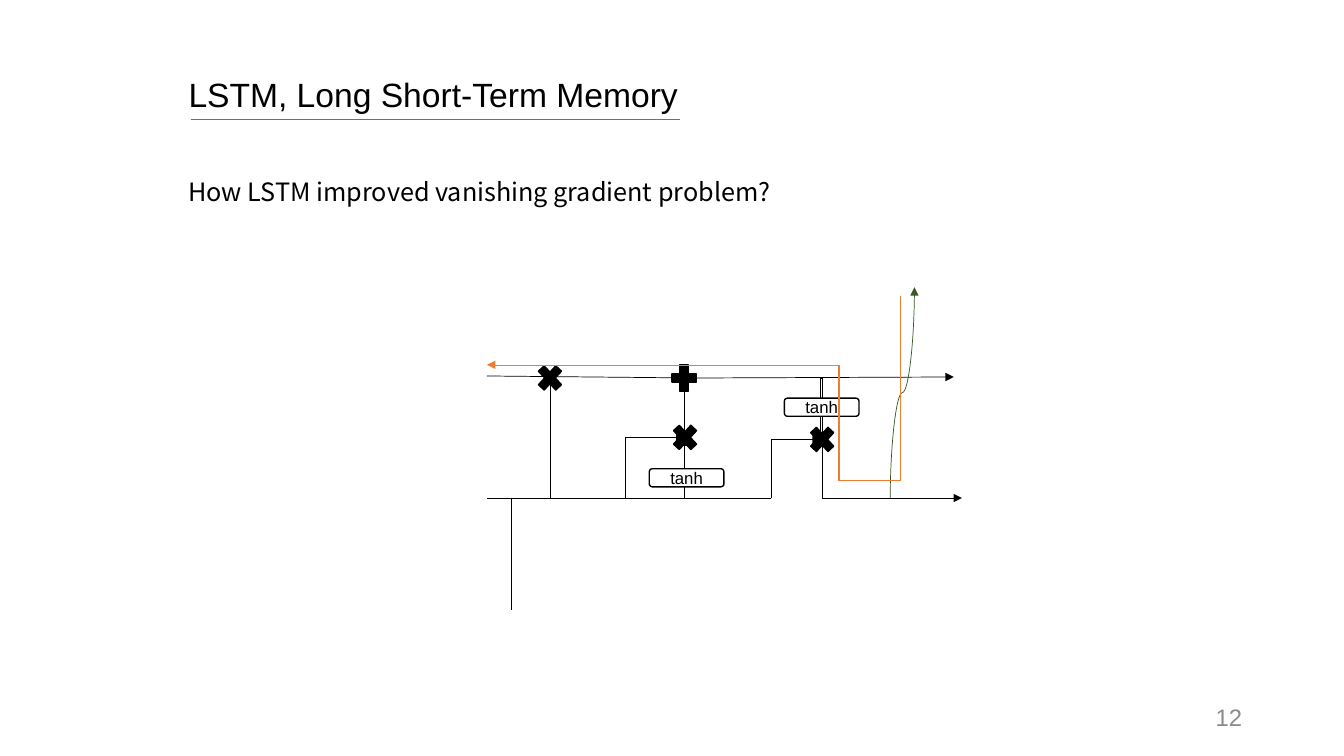
import pptx
import pptx.dml.color
import pptx.enum.shapes
import pptx.enum.text
import pptx.oxml
import pptx.oxml.ns
import pptx.util
from pptx.util import Inches

COLORS = {
    "black": "000000",
    "white": "FFFFFF",
    "gray": "8C8C8C",
    "blue": "4472C4",
    "green": "385723",
    "orange": "ED7D31",
}
SHAPE = pptx.enum.shapes.MSO_SHAPE
CONNECTOR = pptx.enum.shapes.MSO_CONNECTOR
ALIGN = pptx.enum.text.PP_ALIGN
ANCHOR = pptx.enum.text.MSO_ANCHOR


def color(name):
    return pptx.dml.color.RGBColor.from_string(COLORS[name])


def write(shape, text, size=18, font="Arial", fill="black", align=ALIGN.LEFT,
          anchor=ANCHOR.TOP, grow=False):
    frame = shape.text_frame
    frame.word_wrap = True
    frame.vertical_anchor = anchor
    fit = pptx.enum.text.MSO_AUTO_SIZE
    frame.auto_size = fit.SHAPE_TO_FIT_TEXT if grow else fit.NONE
    paragraph = frame.paragraphs[0]
    paragraph.alignment = align
    run = paragraph.add_run()
    run.text = text
    run.font.size = pptx.util.Pt(size)
    run.font.name = font
    run.font.color.rgb = color(fill)


def add_xml(parent, tag, **attributes):
    element = pptx.oxml.parse_xml(f"<{tag} {pptx.oxml.ns.nsdecls('a')}/>")
    for name, value in attributes.items():
        element.set(name, value)
    parent.append(element)


class Diagram:
    def __init__(self, slide, line_width=0.5):
        self.slide = slide
        self.line_width = line_width

    def title(self, text, box):
        shape = self.slide.shapes.title
        shape.left, shape.top, shape.width, shape.height = map(Inches, box)
        write(shape, text, size=24, grow=True)

    def text(self, text, box, **style):
        shape = self.slide.shapes.add_textbox(*map(Inches, box))
        write(shape, text, **style)

    def line(self, start, end, stroke="black", width=None, arrow=False,
             kind=CONNECTOR.STRAIGHT, bend=None, turned=False):
        if turned:
            middle_x, middle_y = (start[0] + end[0]) / 2, (start[1] + end[1]) / 2
            half_x, half_y = (end[0] - start[0]) / 2, (end[1] - start[1]) / 2
            start = middle_x - half_y, middle_y + half_x
            end = middle_x + half_y, middle_y - half_x
        connector = self.slide.shapes.add_connector(kind, *map(Inches, (*start, *end)))
        connector.line.color.rgb = color(stroke)
        connector.line.width = pptx.util.Pt(width or self.line_width)
        properties = connector._element.spPr
        if turned:
            properties.find(pptx.oxml.ns.qn("a:xfrm")).set("rot", "5400000")
        if bend is not None:
            guides = properties.find(".//" + pptx.oxml.ns.qn("a:avLst"))
            add_xml(guides, "a:gd", name="adj1", fmla=f"val {round(bend * 100000)}")
        if arrow:
            add_xml(connector.line._get_or_add_ln(), "a:tailEnd", type="triangle")
        add_xml(properties, "a:effectLst")

    def shape(self, kind, box, fill="black"):
        shape = self.slide.shapes.add_shape(kind, *map(Inches, box))
        shape.shadow.inherit = False
        shape.fill.solid()
        shape.fill.fore_color.rgb = color(fill)
        shape.line.color.rgb = color("black")
        shape.line.width = pptx.util.Pt(1)
        return shape

    def operator(self, kind, left, top):
        self.shape(kind, (left, top, 0.33, 0.36))

    def tanh(self, left, top):
        shape = self.shape(SHAPE.ROUNDED_RECTANGLE, (left, top, 0.74, 0.18), "white")
        write(shape, "tanh", size=12, align=ALIGN.CENTER, anchor=ANCHOR.MIDDLE)


def main():
    presentation = pptx.Presentation()
    presentation.slide_width = Inches(13.33)
    presentation.slide_height = Inches(7.5)
    slide = presentation.slides.add_slide(presentation.slide_layouts[5])
    diagram = Diagram(slide)

    diagram.title("LSTM, Long Short-Term Memory", (1.77, 0.68, 7.05, 0.5))
    diagram.line((1.89, 1.18), (6.74, 1.18), "blue")
    diagram.text("12", (9.42, 6.81, 3, 0.6), size=17, fill="gray",
                 align=ALIGN.RIGHT, anchor=ANCHOR.MIDDLE)
    diagram.text("How LSTM improved vanishing gradient problem?",
                 (1.77, 1.7, 9.98, 0.4), font="Noto Sans CJK KR", grow=True)

    left, forget, add, output = 4.83, 5.46, 6.79, 8.14
    cell, hidden, gate = 3.75, 4.94, 4.34
    diagram.line((6.91, cell), (9.46, 3.74), arrow=True)
    diagram.line((7.65, hidden), (add, hidden))
    diagram.line((forget, hidden), (forget, 3.73), arrow=True)
    diagram.line((add, hidden), (add, gate), arrow=True)
    elbow = {"kind": CONNECTOR.ELBOW, "arrow": True}
    diagram.line((output, cell), (9.54, hidden), bend=0.01, **elbow)
    diagram.line((6.19, hidden), (add, gate), bend=0.02, **elbow)
    diagram.line((7.65, hidden), (output, 4.36), bend=1, turned=True, **elbow)
    diagram.line((output, cell), (output, 4.38), arrow=True)
    diagram.tanh(6.44, 4.65)
    diagram.tanh(7.78, 3.95)
    diagram.line((left, hidden), (add, hidden))
    diagram.line((5.07, hidden), (5.07, 6.05))
    diagram.line((6.91, cell), (left, 3.73))
    diagram.operator(SHAPE.MATH_MULTIPLY, 5.29, 3.57)
    diagram.line((add, gate), (add, cell), arrow=True)
    diagram.operator(SHAPE.MATH_MULTIPLY, 6.63, 4.16)
    diagram.operator(SHAPE.MATH_PLUS, 6.62, 3.57)
    diagram.operator(SHAPE.MATH_MULTIPLY, 7.99, 4.18)

    diagram.line((8.83, hidden), (9.07, 2.85), "green", arrow=True,
                 kind=CONNECTOR.CURVE, bend=0.5, turned=True)
    inner, outer, top, bottom = 8.32, 8.93, 3.62, 4.77
    diagram.line((inner, top), (inner, bottom), "orange", 1)
    diagram.line((outer, bottom), (inner, bottom), "orange", 1)
    diagram.line((outer, 2.94), (outer, bottom), "orange", 1)
    diagram.line((inner, top), (left, top), "orange", arrow=True)

    presentation.save("out.pptx")


if __name__ == "__main__":
    main()
